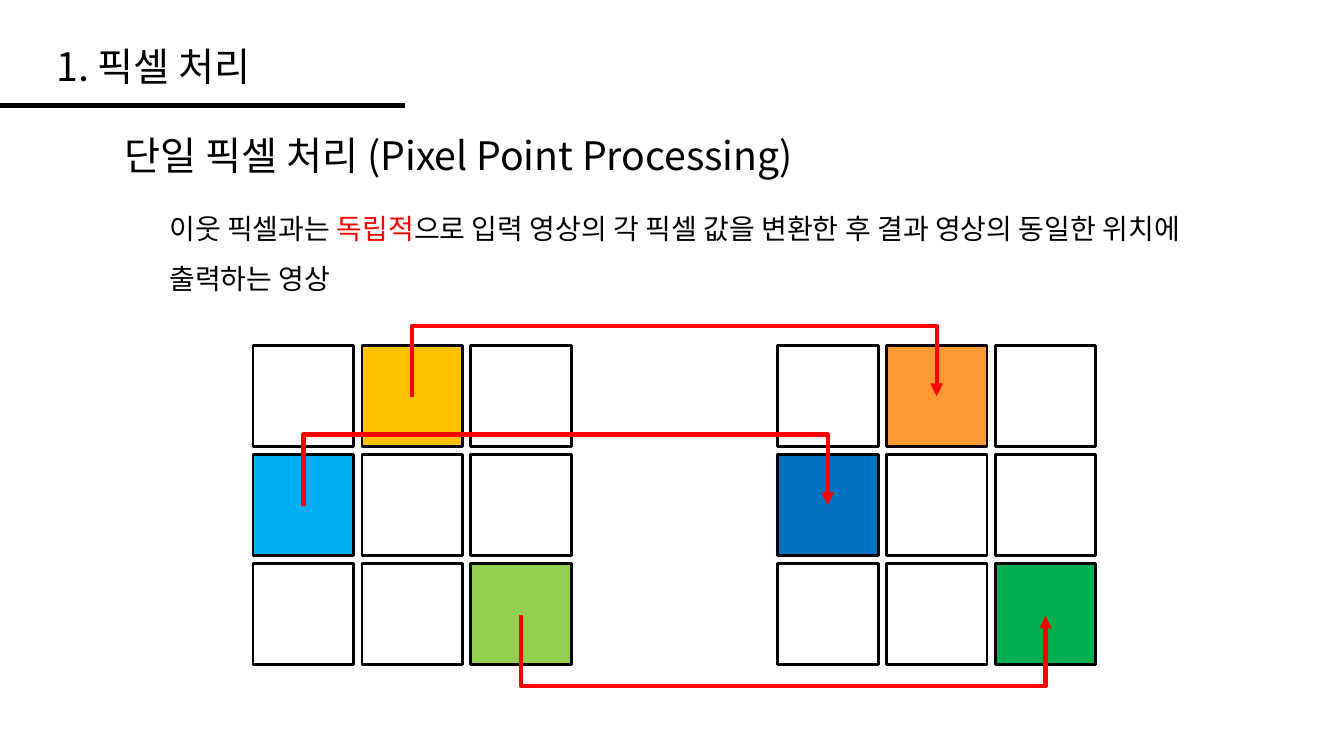
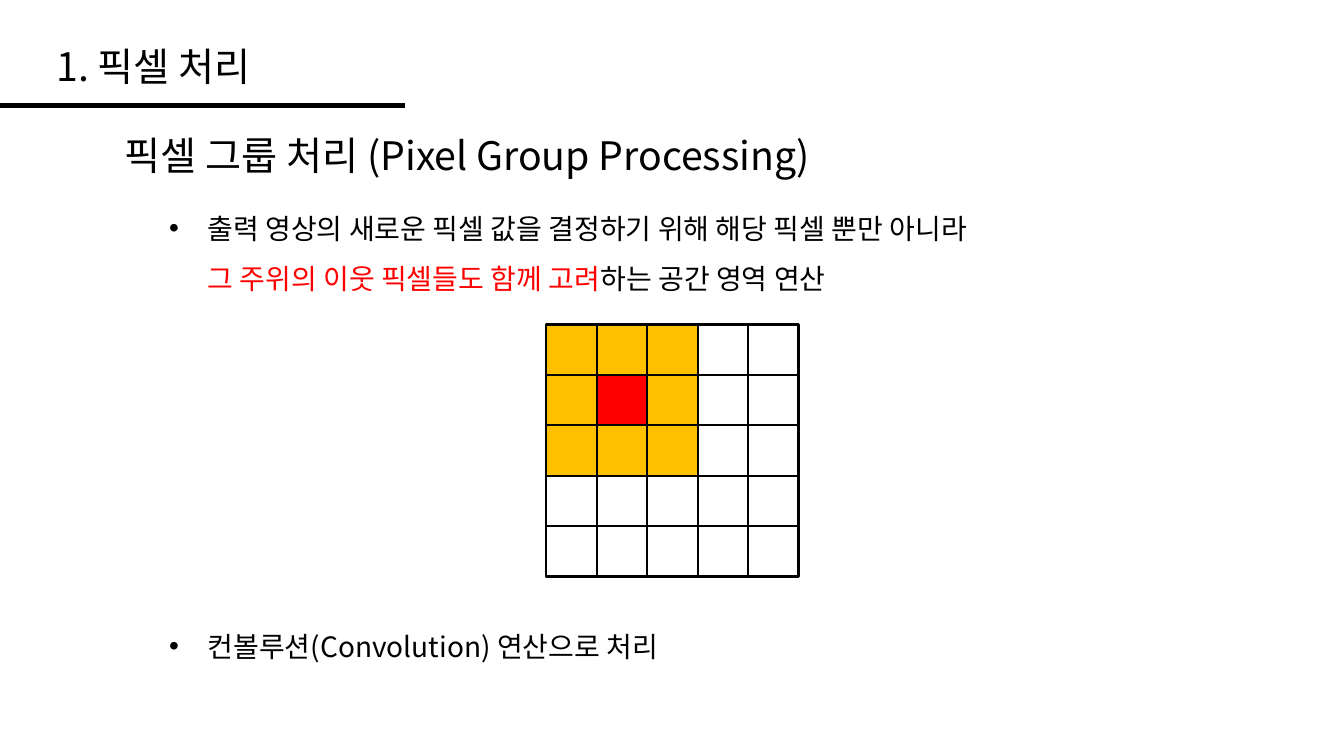
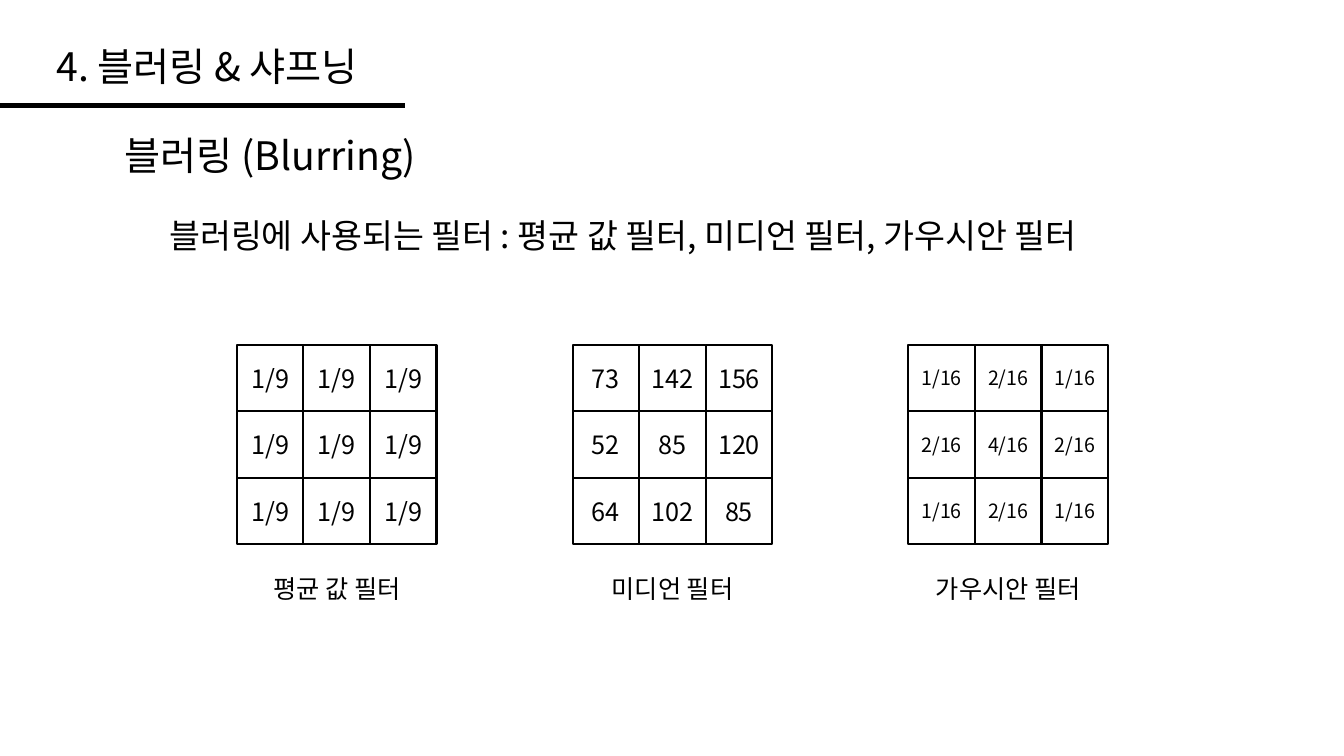
from lxml.etree import SubElement
from pptx import Presentation
from pptx.dml.color import RGBColor
from pptx.enum.shapes import MSO_CONNECTOR, MSO_SHAPE
from pptx.enum.text import MSO_ANCHOR, MSO_AUTO_SIZE, PP_ALIGN
from pptx.oxml.ns import qn
from pptx.util import Pt

EMU_PER_PX = 9144  # 100 px to the inch
FONT = "Noto Sans CJK KR"
BLACK, WHITE, RED, AMBER = "000000", "FFFFFF", "FF0000", "FFC000"
TEXT_FRAME = {"word_wrap": True, "auto_size": MSO_AUTO_SIZE.SHAPE_TO_FIT_TEXT}
CELL_FRAME = {"word_wrap": True, "vertical_anchor": MSO_ANCHOR.MIDDLE,
              "margin_left": 0, "margin_right": 0}
BODY = {"line_spacing": 1.5}
CENTERED = {"alignment": PP_ALIGN.CENTER}
BULLET_INDENT = 38


def px(*lengths):
    return [round(length * EMU_PER_PX) for length in lengths]


def color(value):
    return RGBColor.from_string(value)


def set_attributes(target, values):
    for name, value in values.items():
        setattr(target, name, value)


def write_paragraph(paragraph, runs, size, values):
    """Fill a paragraph with (text, color) runs."""
    set_attributes(paragraph, values)
    for text, text_color in runs:
        run = paragraph.add_run()
        run.text = text
        set_attributes(run.font, {"size": Pt(size), "name": FONT})
        run.font.color.rgb = color(text_color)
        SubElement(run.font._element, qn("a:ea"), typeface=FONT)


def indent(paragraph, bullet):
    """Set a left indent, with a hanging bullet if one is wanted."""
    margin = px(BULLET_INDENT)[0]
    properties = paragraph._p.get_or_add_pPr()
    properties.set("marL", str(margin))
    properties.set("indent", str(-margin if bullet else 0))
    if bullet:
        SubElement(properties, qn("a:buFont"), typeface="Arial")
        SubElement(properties, qn("a:buChar"), char="•")


def add_text(slide, box, lines, size, values):
    """Add a text box with one paragraph for each list of runs."""
    frame = slide.shapes.add_textbox(*px(*box)).text_frame
    set_attributes(frame, TEXT_FRAME)
    for index, runs in enumerate(lines):
        paragraph = frame.add_paragraph() if index else frame.paragraphs[0]
        write_paragraph(paragraph, runs, size, values)
    return frame.paragraphs


def add_line(slide, kind, ends, line_color, width):
    connector = slide.shapes.add_connector(kind, *px(*ends))
    connector.line.color.rgb = color(line_color)
    connector.line.width = Pt(width)
    SubElement(connector._element.spPr, qn("a:effectLst"))
    return connector


def add_slide(presentation, title, subtitle, title_width=281, subtitle_width=740):
    """Add a slide with the shared title, rule and subtitle."""
    slide = presentation.slides.add_slide(presentation.slide_layouts[6])
    add_text(slide, (46, 37, title_width, 57), [[(title, BLACK)]], 28, {})
    add_line(slide, MSO_CONNECTOR.STRAIGHT, (0, 105, 402, 105), BLACK, 3.5)
    add_text(slide, (114, 125, subtitle_width, 57), [[(subtitle, BLACK)]], 28, {})
    return slide


def add_grid(slide, left, top, count, cell, step, line_width, fills, labels=(), size=18):
    """Add a grouped square grid; fills maps (row, column) to a color."""
    group = slide.shapes.add_group_shape()
    for index in range(count * count):
        row, column = divmod(index, count)
        box = px(left + column * step, top + row * step, cell, cell)
        shape = group.shapes.add_shape(MSO_SHAPE.RECTANGLE, *box)
        shape.shadow.inherit = False
        shape.fill.solid()
        shape.fill.fore_color.rgb = color(fills.get((row, column), WHITE))
        shape.line.color.rgb = color(BLACK)
        shape.line.width = Pt(line_width)
        if labels:
            set_attributes(shape.text_frame, CELL_FRAME)
            write_paragraph(shape.text_frame.paragraphs[0],
                            [(labels[index], BLACK)], size, CENTERED)


def add_pixel_arrow(slide, start_x, start_y, span, reach, upward):
    """Add a U-shaped arrow that leaves and enters two cells on one side."""
    drop = 1  # the bend is measured in multiples of this height difference
    center_x = start_x + span / 2
    center_y = start_y + (-drop if upward else drop) / 2
    left, top = center_x - drop / 2, center_y - span / 2
    arrow = add_line(slide, MSO_CONNECTOR.ELBOW,
                     (left, top, left + drop, top + span), RED, 3)
    properties = arrow._element.spPr
    transform = properties.find(qn("a:xfrm"))
    transform.set("rot", str((90 if upward else 270) * 60000))
    transform.set("flipH", "1")
    if upward:
        transform.set("flipV", "1")
    adjustments = properties.find(qn("a:prstGeom")).get_or_add_avLst()
    SubElement(adjustments, qn("a:gd"), name="adj1",
               fmla=f"val {reach * 100000 // drop}")
    SubElement(properties.find(qn("a:ln")), qn("a:tailEnd"), type="triangle")


def build_point_slide(presentation):
    slide = add_slide(presentation, "1. 픽셀 처리",
                      "단일 픽셀 처리 (Pixel Point Processing)")
    add_text(slide, (158, 188, 1069, 106), [
        [("이웃 픽셀과는 ", BLACK), ("독립적", RED),
         ("으로 입력 영상의 각 픽셀 값을 변환한 후 결과 영상의 동일한 위치에", BLACK)],
        [("출력하는 영상", BLACK)],
    ], 20, BODY)

    # Input and output pixels
    left, top, span, cell, step = 251, 343, 520, 100, 108
    input_fills = {(0, 1): AMBER, (1, 0): "00B0F0", (2, 2): "92D050"}
    output_fills = {(0, 1): "FF9933", (1, 0): "0070C0", (2, 2): "00B050"}
    for offset, fills in ((0, input_fills), (span, output_fills)):
        add_grid(slide, left + offset, top, 3, cell, step, 2, fills)

    # Arrows from each input pixel to its output pixel
    for row, column in input_fills:
        add_pixel_arrow(slide, left + column * step + cell // 2,
                        top + row * step + cell // 2 + 1, span, 72, row < 2)


def build_group_slide(presentation):
    slide = add_slide(presentation, "1. 픽셀 처리",
                      "픽셀 그룹 처리 (Pixel Group Processing)")
    description = add_text(slide, (158, 188, 1069, 107), [
        [("출력 영상의 새로운 픽셀 값을 결정하기 위해 해당 픽셀 뿐만 아니라", BLACK)],
        [("그 주위의 이웃 픽셀들도 함께 고려", RED), ("하는 공간 영역 연산", BLACK)],
    ], 20, BODY)
    method = add_text(slide, (158, 603, 1069, 56),
                      [[("컨볼루션(Convolution) 연산으로 처리", BLACK)]], 20, BODY)
    indent(description[0], True)
    indent(description[1], False)
    indent(method[0], True)

    # Pixel with its neighbours
    fills = {(row, column): AMBER for row in range(3) for column in range(3)}
    fills[1, 1] = RED
    add_grid(slide, 542, 322, 5, 50, 50, 1.5, fills)


def build_filter_slide(presentation):
    slide = add_slide(presentation, "4. 블러링 & 샤프닝", "블러링 (Blurring)", 621, 1096)
    add_text(slide, (158, 188, 1100, 66), [
        [("블러링에 사용되는 필터 : 평균 값 필터, 미디언 필터, 가우시안 필터", BLACK)],
    ], 24, BODY)

    # Filter kernels with captions
    filters = (
        ("평균 값 필터", ["1/9"] * 9, 18),
        ("미디언 필터", "73 142 156 52 85 120 64 102 85".split(), 18),
        ("가우시안 필터", [f"{weight}/16" for weight in (1, 2, 1, 2, 4, 2, 1, 2, 1)], 14),
    )
    for index, (caption, labels, size) in enumerate(filters):
        left = 235 + index * 333
        add_grid(slide, left, 342, 3, 66, 66, 1.5, {}, labels, size)
        add_text(slide, (left - 7, 564, 212, 40), [[(caption, BLACK)]], 18, CENTERED)


def main():
    presentation = Presentation()
    width, height = px(1333, 750)
    set_attributes(presentation, {"slide_width": width, "slide_height": height})
    build_point_slide(presentation)
    build_group_slide(presentation)
    build_filter_slide(presentation)
    presentation.save("out.pptx")


if __name__ == "__main__":
    main()
